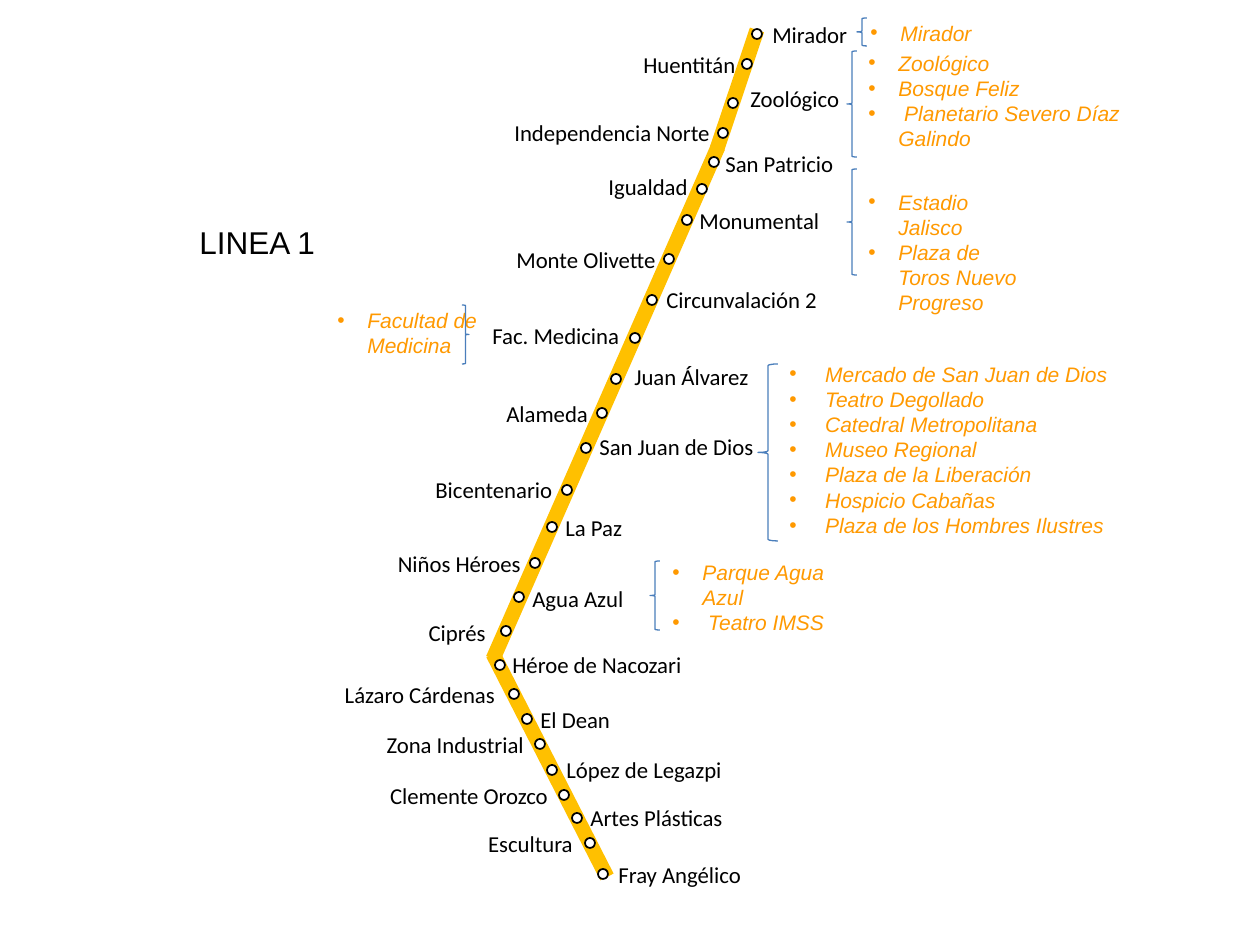
from typing import NamedTuple

from lxml.etree import SubElement
from pptx import Presentation
from pptx.dml.color import RGBColor
from pptx.enum.shapes import MSO_CONNECTOR, MSO_SHAPE
from pptx.enum.text import MSO_AUTO_SIZE, PP_ALIGN
from pptx.oxml.ns import qn
from pptx.util import Pt

PX = 914400 // 126
DOT = 10
LABEL_HEIGHT = 40
BULLET_INDENT = 30
BLACK, WHITE, AMBER, ORANGE, BLUE = "000000", "FFFFFF", "FFC000", "FF9900", "4A7EBB"
LEFT, RIGHT = PP_ALIGN.LEFT, PP_ALIGN.RIGHT


class Rect(NamedTuple):
    left: int
    top: int
    width: int
    height: int


class Station(NamedTuple):
    name: str
    dot_x: int
    dot_y: int
    label_left: int
    label_top: int
    label_width: int
    align: PP_ALIGN = LEFT


class Landmarks(NamedTuple):
    names: list[str]
    area: Rect
    brace: Rect
    brace_kind: MSO_SHAPE = MSO_SHAPE.LEFT_BRACE


TRACK = [((757, 30), (717, 149)), ((718, 147), (493, 659)), ((493, 654), (607, 877))]

STATIONS = [
    Station("Mirador", 752, 29, 760, 15, 244),
    Station("Huentitán", 742, 59, 631, 45, 244),
    Station("Zoológico", 728, 98, 738, 79, 244),
    Station("Independencia Norte", 718, 128, 502, 113, 244),
    Station("San Patricio", 709, 157, 713, 144, 244),
    Station("Igualdad", 697, 184, 596, 167, 244),
    Station("Monumental", 682, 215, 687, 201, 244),
    Station("Monte Olivette", 664, 254, 504, 240, 244),
    Station("Circunvalación 2", 647, 295, 654, 280, 244),
    Station("Fac. Medicina", 630, 333, 480, 316, 244),
    Station("Juan Álvarez", 611, 374, 622, 357, 244),
    Station("Alameda", 597, 408, 494, 394, 244),
    Station("San Juan de Dios", 581, 443, 587, 427, 244),
    Station("Bicentenario", 562, 485, 423, 470, 144),
    Station("La Paz", 547, 522, 553, 508, 144),
    Station("Niños Héroes", 530, 558, 354, 544, 179, RIGHT),
    Station("Agua Azul", 514, 592, 520, 579, 181),
    Station("Ciprés", 501, 626, 324, 613, 174, RIGHT),
    Station("Héroe de Nacozari", 495, 660, 500, 645, 233),
    Station("Lázaro Cárdenas", 509, 689, 281, 675, 226, RIGHT),
    Station("El Dean", 522, 714, 528, 700, 233),
    Station("Zona Industrial", 535, 739, 307, 725, 229, RIGHT),
    Station("López de Legazpi", 547, 765, 554, 750, 233),
    Station("Clemente Orozco", 559, 790, 331, 776, 229, RIGHT),
    Station("Artes Plásticas", 572, 813, 578, 798, 233),
    Station("Escultura", 585, 838, 357, 824, 228, RIGHT),
    Station("Fray Angélico", 598, 869, 606, 855, 233),
]

LANDMARKS = [
    Landmarks(["Mirador"], Rect(858, 14, 147, 38), Rect(857, 18, 10, 28)),
    Landmarks(["Zoológico", "Bosque Feliz", " Planetario Severo Díaz Galindo"],
              Rect(856, 44, 286, 113), Rect(847, 51, 10, 106)),
    Landmarks(["Estadio Jalisco", "Plaza de Toros Nuevo Progreso"],
              Rect(856, 183, 180, 88), Rect(847, 169, 10, 106)),
    Landmarks(["Facultad de Medicina"],
              Rect(325, 301, 186, 63), Rect(462, 305, 7, 59), MSO_SHAPE.RIGHT_BRACE),
    Landmarks([" Mercado de San Juan de Dios", " Teatro Degollado", " Catedral Metropolitana",
               " Museo Regional", " Plaza de la Liberación", " Hospicio Cabañas",
               " Plaza de los Hombres Ilustres"],
              Rect(777, 355, 354, 189), Rect(758, 364, 20, 177)),
    Landmarks(["Parque Agua Azul", " Teatro IMSS"],
              Rect(660, 553, 186, 88), Rect(650, 561, 10, 69)),
]


def color(value: str) -> RGBColor:
    return RGBColor.from_string(value)


def emu(*lengths: int) -> list[int]:
    return [length * PX for length in lengths]


def add_track(page, start: tuple[int, int], end: tuple[int, int]) -> None:
    track = page.shapes.add_connector(MSO_CONNECTOR.STRAIGHT, *emu(*start, *end))
    track.line.color.rgb = color(AMBER)
    track.line.width = Pt(8.5)
    SubElement(track._element.spPr, qn("a:effectLst"))


def add_outline(page, kind: MSO_SHAPE, area: Rect, line: str, width: float, fill: str = "") -> None:
    shape = page.shapes.add_shape(kind, *emu(*area))
    shape.shadow.inherit = False
    if fill:
        shape.fill.solid()
        shape.fill.fore_color.rgb = color(fill)
    else:
        shape.fill.background()
    shape.line.color.rgb = color(line)
    shape.line.width = Pt(width)


def add_text(page, lines: list[str], area: Rect, font: str, size: int, ink: str,
             align: PP_ALIGN = LEFT, italic: bool = False):
    box = page.shapes.add_textbox(*emu(*area))
    frame = box.text_frame
    frame.text = "\n".join(lines)
    frame.word_wrap = True
    frame.auto_size = MSO_AUTO_SIZE.SHAPE_TO_FIT_TEXT
    for paragraph in frame.paragraphs:
        paragraph.alignment = align
        for span in paragraph.runs:
            span.font.name = font
            span.font.size = Pt(size)
            span.font.italic = italic
            span.font.color.rgb = color(ink)
    return box


def add_bullet(paragraph) -> None:
    properties = paragraph._p.get_or_add_pPr()
    properties.set("marL", str(BULLET_INDENT * PX))
    properties.set("indent", str(-BULLET_INDENT * PX))
    bullet_color = SubElement(properties, qn("a:buClr"))
    SubElement(bullet_color, qn("a:srgbClr"), val=ORANGE)
    SubElement(properties, qn("a:buFont"), typeface="Arial")
    SubElement(properties, qn("a:buChar"), char="•")


def add_station(page, station: Station) -> None:
    dot = Rect(station.dot_x, station.dot_y, DOT, DOT)
    add_outline(page, MSO_SHAPE.OVAL, dot, BLACK, 1, WHITE)
    label = Rect(station.label_left, station.label_top, station.label_width, LABEL_HEIGHT)
    add_text(page, [station.name], label, "Calibri", 13, BLACK, station.align)


def add_landmarks(page, landmarks: Landmarks) -> None:
    box = add_text(page, landmarks.names, landmarks.area, "Arial", 12, ORANGE, italic=True)
    for paragraph in box.text_frame.paragraphs:
        add_bullet(paragraph)
    add_outline(page, landmarks.brace_kind, landmarks.brace, BLUE, 0.75)


def main() -> None:
    deck = Presentation()
    deck.slide_width, deck.slide_height = emu(1260, 945)
    page = deck.slides.add_slide(deck.slide_layouts[6])
    for start, end in TRACK:
        add_track(page, start, end)
    for station in STATIONS:
        add_station(page, station)
    add_text(page, ["LINEA 1"], Rect(187, 217, 147, 50), "Arial", 18, BLACK)
    for landmarks in LANDMARKS:
        add_landmarks(page, landmarks)
    deck.save("out.pptx")


if __name__ == "__main__":
    main()
